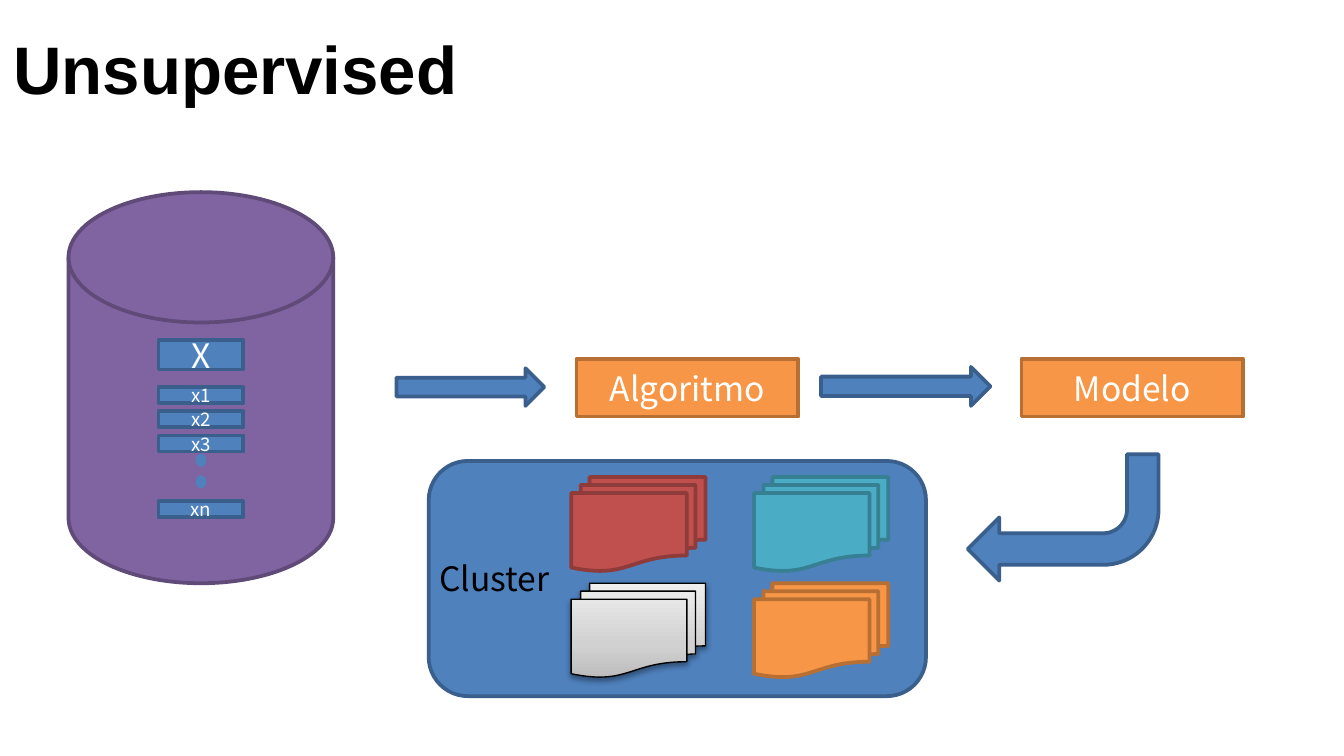
from copy import deepcopy

from lxml import etree
from pptx import Presentation
from pptx.dml.color import RGBColor
from pptx.enum.shapes import MSO_SHAPE
from pptx.enum.text import MSO_ANCHOR, PP_ALIGN
from pptx.oxml.ns import qn
from pptx.util import Inches, Pt

RECT = MSO_SHAPE.RECTANGLE
ROUNDED = MSO_SHAPE.ROUNDED_RECTANGLE
DISK = MSO_SHAPE.FLOWCHART_MAGNETIC_DISK
RIGHT_ARROW = MSO_SHAPE.RIGHT_ARROW
BENT_ARROW = MSO_SHAPE.BENT_ARROW
DOT = MSO_SHAPE.OVAL
DOCUMENTS = MSO_SHAPE.FLOWCHART_MULTIDOCUMENT
MIDDLE = MSO_ANCHOR.MIDDLE
LEFT, CENTER = PP_ALIGN.LEFT, PP_ALIGN.CENTER

BODY_FONT = "Noto Sans CJK KR"
BLUE = ("4F81BD", "3A5F8C")
ORANGE = ("F79646", "B76F34")
PURPLE = ("8064A2", "5F4A78")
TEAL = ("4BACC6", "377F92")
RED = ("C0504D", "8E3B39")
GRAY = ("EEEEEE", "000000")
GRAY_STOPS = [(0, "BDBDBD"), (0.35, "D1D1D1"), (1, "EEEEEE")]

STEPS = [("Algoritmo", 4.29), ("Modelo", 7.6)]
STEP_ARROWS = [(2.95, 2.74, 1.1, 0.28), (6.11, 2.73, 1.26, 0.29)]
SAMPLES = [("X", 2.53, 0.22, 18), ("x1", 2.88, 0.12, 10), ("x2", 3.06, 0.12, 10),
           ("x3", 3.24, 0.12, 10), ("xn", 3.73, 0.12, 10)]
DOT_TOPS = [3.39, 3.55]
CLUSTERS = [[RED, TEAL], [GRAY, ORANGE]]


def color(hex_code):
    return RGBColor.from_string(hex_code)


def write(shape, text, size, ink="FFFFFF", font=BODY_FONT, bold=False, align=CENTER):
    frame = shape.text_frame
    frame.word_wrap = True
    paragraph = frame.paragraphs[0]
    paragraph.alignment = align
    run = paragraph.add_run()
    run.text = text
    run.font.size = Pt(size)
    run.font.name = font
    run.font.bold = bold
    run.font.color.rgb = color(ink)


def draw(kind, box, palette, line_width=2):
    shape = slide.shapes.add_shape(kind, *map(Inches, box))
    shape.shadow.inherit = False
    shape.fill.solid()
    shape.fill.fore_color.rgb = color(palette[0])
    shape.line.color.rgb = color(palette[1])
    shape.line.width = Pt(line_width)
    return shape


def shade(shape):
    shape.fill.gradient()
    shape.fill.gradient_angle = 90
    stop_list = shape._element.spPr.find(".//" + qn("a:gsLst"))
    stop_list.insert(1, deepcopy(stop_list[0]))
    for stop, (position, hex_code) in zip(shape.fill.gradient_stops, GRAY_STOPS):
        stop.position = position
        stop.color.rgb = color(hex_code)
    effects = shape._element.spPr.find(qn("a:effectLst"))
    shadow = etree.SubElement(effects, qn("a:outerShdw"), blurRad=str(Pt(3.1)),
                              dist=str(Pt(1.6)), dir="5400000", rotWithShape="0")
    ink = etree.SubElement(shadow, qn("a:srgbClr"), val="000000")
    etree.SubElement(ink, qn("a:alpha"), val="38000")


deck = Presentation()
deck.slide_width = Inches(10)
deck.slide_height = deck.slide_width * 9 // 16
slide = deck.slides.add_slide(deck.slide_layouts[6])

title = slide.shapes.add_textbox(Inches(0), Inches(0.03), Inches(10), Inches(0.94))
title.text_frame.vertical_anchor = MIDDLE
write(title, "Unsupervised", 36, "000000", "Arial", True, LEFT)

draw(ROUNDED, (3.19, 3.43, 3.7, 1.75), BLUE)
draw(DISK, (0.51, 1.43, 1.97, 2.91), PURPLE)

for box in STEP_ARROWS:
    draw(RIGHT_ARROW, box, BLUE)
for step, left in STEPS:
    write(draw(RECT, (left, 2.67, 1.65, 0.43), ORANGE), step, 18)

result_arrow = draw(BENT_ARROW, (7.2, 3.38, 1.42, 0.94), BLUE)
result_arrow.rotation = 180

for sample, top, height, size in SAMPLES:
    write(draw(RECT, (1.18, top, 0.63, height), BLUE), sample, size)
for top in DOT_TOPS:
    draw(DOT, (1.47, top, 0.05, 0.07), (BLUE[0], BLUE[0]))

for row, palettes in enumerate(CLUSTERS):
    for column, palette in enumerate(palettes):
        box = (4.25 + column * 1.36, 3.55 + row * 0.79, 1, 0.7)
        documents = draw(DOCUMENTS, box, palette, 0.75 if palette is GRAY else 2)
        if palette is GRAY:
            shade(documents)

cluster_label = slide.shapes.add_textbox(Inches(3.17), Inches(4.1), Inches(1.34), Inches(0.4))
write(cluster_label, "Cluster", 18, "000000", align=LEFT)

deck.save("out.pptx")
